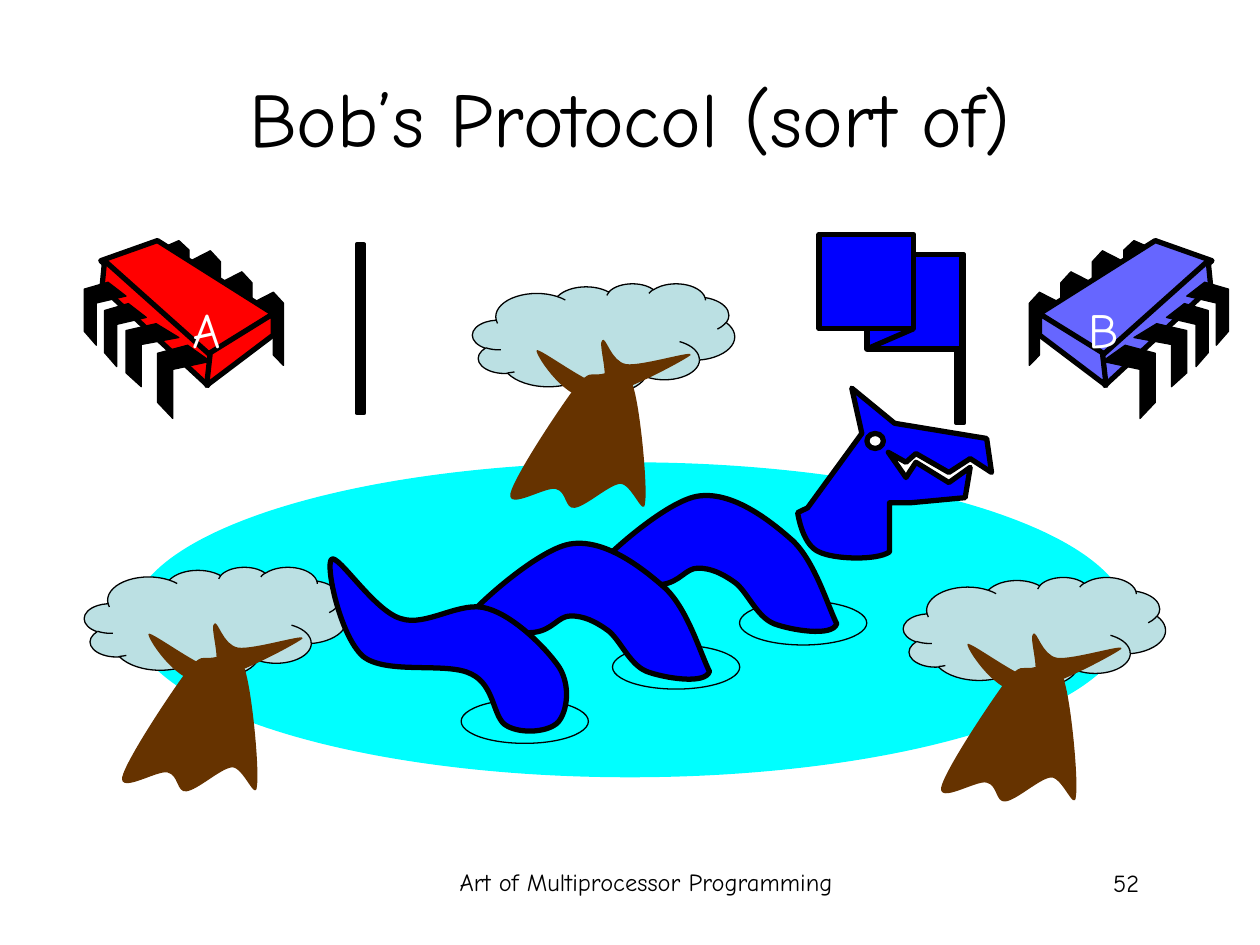
from lxml import etree
from pptx import Presentation
from pptx.dml.color import RGBColor
from pptx.enum.shapes import MSO_CONNECTOR, MSO_SHAPE
from pptx.enum.text import MSO_ANCHOR, PP_ALIGN
from pptx.oxml.ns import qn
from pptx.util import Pt

RECTANGLE, OVAL, CLOUD = MSO_SHAPE.RECTANGLE, MSO_SHAPE.OVAL, MSO_SHAPE.CLOUD_CALLOUT
STRAIGHT = MSO_CONNECTOR.STRAIGHT
LEFT, CENTER, RIGHT = PP_ALIGN.LEFT, PP_ALIGN.CENTER, PP_ALIGN.RIGHT
TOP, MIDDLE = MSO_ANCHOR.TOP, MSO_ANCHOR.MIDDLE

FONT = "Comic Neue"
BLACK, WHITE, BLUE, RED = "000000", "FFFFFF", "0000FF", "FF0000"
PERIWINKLE, WATER, LEAVES, BARK = "6666FF", "00FFFF", "BBE0E3", "663300"
MIRROR_WIDTH = 750.2

# Pins as fractions of their box, boxes as left, top, width, height.
BACK_PIN = [(0, 0.15), (0.68, 0), (1, 0.15), (1, 1), (0.68, 0.86), (0.68, 0.29), (0, 0.43)]
FRONT_PIN = [(0.57, 0), (1, 0.22), (0.29, 0.33), (0.29, 1), (0, 0.78), (0, 0.11)]
BACK_PIN_BOXES = [(144, 167, 18, 41.8), (126, 155.3, 18, 41.8),
                  (108, 143.3, 18, 41.8), (90, 137.5, 18, 36)]
FRONT_PIN_BOXES = [(90, 197.3, 30.2, 41.8), (72, 185, 30.2, 36),
                   (59.8, 173.5, 23.8, 36), (48.2, 161.3, 23.8, 36)]
CHIP_FACES = [
    [(90, 137.5), (156.2, 179.3), (118.8, 204.5), (57.6, 149)],
    [(59.8, 149), (120.2, 203), (118.8, 220.3), (58.3, 164.2)],
    [(156.2, 179.3), (156.2, 191.5), (118.1, 220.3), (120.2, 201.6)],
]

# Two numbers are a corner; six are a Bézier curve's two controls and end.
TRUNK = [
    (58.3, 59.8),
    (67, 49, 67.7, 52.6, 73.4, 51.8), (78.5, 51.1, 87.1, 45.4, 91.4, 57.6),
    (95.8, 69.8, 100.1, 115.9, 98.6, 125.3), (97.9, 134.6, 90.7, 113.8, 84.2, 114.5),
    (77.8, 115.2, 64.8, 127.4, 58.3, 128.2), (52.6, 128.9, 54, 118.8, 47.5, 117.4),
    (41.8, 115.9, 20.2, 129.6, 21.6, 120.2), (23.8, 110.2, 49.7, 71.3, 58.3, 59.8),
]
BRANCHES = [
    (36.7, 38.2),
    (35.3, 39.6, 51.1, 64.8, 65.5, 65.5), (80.6, 66.2, 121, 43.9, 124.6, 41),
    (128.2, 37.4, 96.5, 47.5, 87.8, 46.1), (79.2, 44.6, 76.3, 30.2, 74.2, 32.4),
    (71.3, 33.8, 79.2, 56.2, 73.4, 57.6), (67, 58.3, 38.2, 36.7, 36.7, 38.2),
]
HUMP = [
    (146.2, 76.3),
    (144, 84.2, 119.5, 79.9, 110.2, 76.3), (100.1, 72, 95, 57.6, 87.8, 52.6),
    (80.6, 47.5, 74.2, 44.6, 67, 44.6), (59.8, 44.6, 56.9, 52.6, 46.1, 54),
    (36, 54.7, 0, 59.8, 3.6, 51.1), (7.2, 43.2, 46.8, 7.2, 66.2, 3.6),
    (85.7, 0, 107.3, 16.6, 121, 28.8), (133.9, 41, 141.1, 66.2, 146.2, 76.3),
]
HEAD = [
    (461.5, 290.2), (492.5, 247.7), (486.7, 221.8), (511.2, 241.9), (563.8, 250.6),
    (566.6, 270), (554.4, 262.1), (542.2, 270), (523.4, 259.2), (517.7, 264.2),
    (507.6, 258.5), (517.7, 272.9), (523.4, 264.2), (542.2, 275.8), (554.4, 267.1),
    (551.5, 284.4), (520.6, 287.3), (508.3, 287.3), (508.3, 315.4),
    (501.1, 320.4, 476.6, 319.7, 468, 315.4), (459.4, 311.8, 456.5, 297.4, 455.8, 293),
]
TAIL = [
    (189.4, 319.7),
    (193, 316.1, 213.8, 349.2, 229, 353.5), (243.4, 358.6, 263.5, 342.7, 278.6, 347.8),
    (293.8, 352.1, 312.5, 370.8, 319.7, 381.6), (326.2, 392.4, 324, 406.8, 319, 412.6),
    (313.9, 418.3, 298.1, 419.8, 289.4, 414.7), (281.5, 410.4, 283, 391.7, 269.3, 385.2),
    (255.6, 378, 221, 385.9, 207.4, 375.1), (194.4, 363.6, 185.8, 323.3, 189.4, 319.7),
]


def color(hex_string):
    return RGBColor.from_string(hex_string)


def set_style(shape, fill, line_width):
    shape.shadow.inherit = False
    if fill:
        shape.fill.solid()
        shape.fill.fore_color.rgb = color(fill)
    else:
        shape.fill.background()
    if line_width:
        shape.line.color.rgb = color(BLACK)
        shape.line.width = Pt(line_width)
    else:
        shape.line.fill.background()


def add_preset(shapes, kind, box, fill=None, line_width=0):
    shape = shapes.add_shape(kind, *map(Pt, box))
    set_style(shape, fill, line_width)
    return shape


def add_line(shapes, start, end, width):
    line = shapes.add_connector(STRAIGHT, *map(Pt, start + end))
    line.line.color.rgb = color(BLACK)
    line.line.width = Pt(width)
    etree.SubElement(line._element.spPr, qn("a:effectLst"))


def add_text(slide, text, box, size=14, font_color=BLACK, align=LEFT, anchor=TOP, wrap=True):
    frame = slide.shapes.add_textbox(*map(Pt, box)).text_frame
    frame.word_wrap = wrap
    frame.vertical_anchor = anchor
    paragraph = frame.paragraphs[0]
    paragraph.text = text
    paragraph.alignment = align
    paragraph.font.name = FONT
    paragraph.font.size = Pt(size)
    paragraph.font.color.rgb = color(font_color)


def bend_segments(shape, steps):
    """Merge the three segments of each six-number step into one Bézier curve."""
    outline = next(shape._element.spPr.iter(qn("a:path")))
    segments = iter(outline.findall(qn("a:lnTo")))
    for step in steps[1:]:
        segment = next(segments)
        if len(step) == 6:
            curve = outline.makeelement(qn("a:cubicBezTo"))
            segment.addprevious(curve)
            for part in (segment, next(segments), next(segments)):
                curve.append(part[0])
                outline.remove(part)


def add_outline(shapes, steps, fill, line_width=0, origin=(0, 0)):
    points = [(Pt(origin[0] + step[i]), Pt(origin[1] + step[i + 1]))
              for step in steps for i in range(0, len(step), 2)]
    builder = shapes.build_freeform(*points[0])
    builder.add_line_segments(points[1:], close=True)
    shape = builder.convert_to_shape()
    bend_segments(shape, steps)
    set_style(shape, fill, line_width)


def add_chip(slide, fill, mirrored=False):
    shapes = slide.shapes.add_group_shape().shapes

    def add_part(points, part_fill, line_width):
        if mirrored:
            points = [(MIRROR_WIDTH - x, y) for x, y in points]
        add_outline(shapes, points, part_fill, line_width)

    def add_pins(pin, boxes):
        for left, top, width, height in boxes:
            add_part([(left + x * width, top + y * height) for x, y in pin], BLACK, 0.75)

    add_pins(BACK_PIN, BACK_PIN_BOXES)
    for face in CHIP_FACES:
        add_part(face, fill, 3)
    add_pins(FRONT_PIN, FRONT_PIN_BOXES)


def add_tree(slide, origin):
    shapes = slide.shapes.add_group_shape().shapes
    crown = add_preset(shapes, CLOUD, origin + (149.8, 62.6), LEAVES, 0.75)
    crown.adjustments[0] = 0.018
    crown.adjustments[1] = 0.493
    for part in (TRUNK, BRANCHES):
        add_outline(shapes, part, BARK, origin=origin)


def add_pole(shapes, left, top):
    add_preset(shapes, RECTANGLE, (left, top, 4.3, 96.5), BLACK, 2.25)


def add_flag(slide):
    shapes = slide.shapes.add_group_shape().shapes
    add_pole(shapes, 546.5, 145.4)
    add_preset(shapes, RECTANGLE, (495.4, 145.4, 54, 54), BLUE, 3)
    add_line(shapes, (495.4, 199.4), (522, 187.9), 3)
    add_preset(shapes, RECTANGLE, (468, 133.9, 54, 54), BLUE, 3)


def add_monster(slide):
    shapes = slide.shapes
    for left, top in ((350, 368.6), (263.5, 399.6), (422.6, 343.4)):
        add_preset(shapes, OVAL, (left, top, 72.7, 25.2), line_width=0.75)
    for origin in ((331.9, 280.1), (259.2, 307.4)):
        add_outline(shapes, HUMP, BLUE, 3, origin)
    add_outline(shapes, HEAD, BLUE, 3)
    add_preset(shapes, OVAL, (495.4, 247.7, 9.4, 8.6), WHITE, 3)
    add_outline(shapes, TAIL, BLUE, 3)


def main():
    presentation = Presentation()
    presentation.slide_width, presentation.slide_height = Pt(720), Pt(540)
    slide = presentation.slides.add_slide(presentation.slide_layouts[6])
    add_text(slide, "Art of Multiprocessor Programming", (246.2, 491.8, 246.2, 37.4), align=CENTER)
    add_text(slide, "52", (508.3, 492.5, 149.8, 36), align=RIGHT)
    add_text(slide, "Bob’s Protocol (sort of)", (36, 21.6, 648, 90),
             size=44, align=CENTER, anchor=MIDDLE)
    add_chip(slide, RED)
    add_chip(slide, PERIWINKLE, mirrored=True)
    add_preset(slide.shapes, OVAL, (74.9, 264.2, 570.2, 180), WATER)
    for label, left, width in (("A", 103, 35.3), ("B", 614.9, 32.4)):
        add_text(slide, label, (left, 167.8, width, 41), size=28, font_color=WHITE, wrap=False)
    for origin in ((270, 162), (516.2, 329.8), (48.2, 324)):
        add_tree(slide, origin)
    add_flag(slide)
    add_pole(slide.shapes, 203.8, 139.7)
    add_monster(slide)
    presentation.save("out.pptx")


if __name__ == "__main__":
    main()
